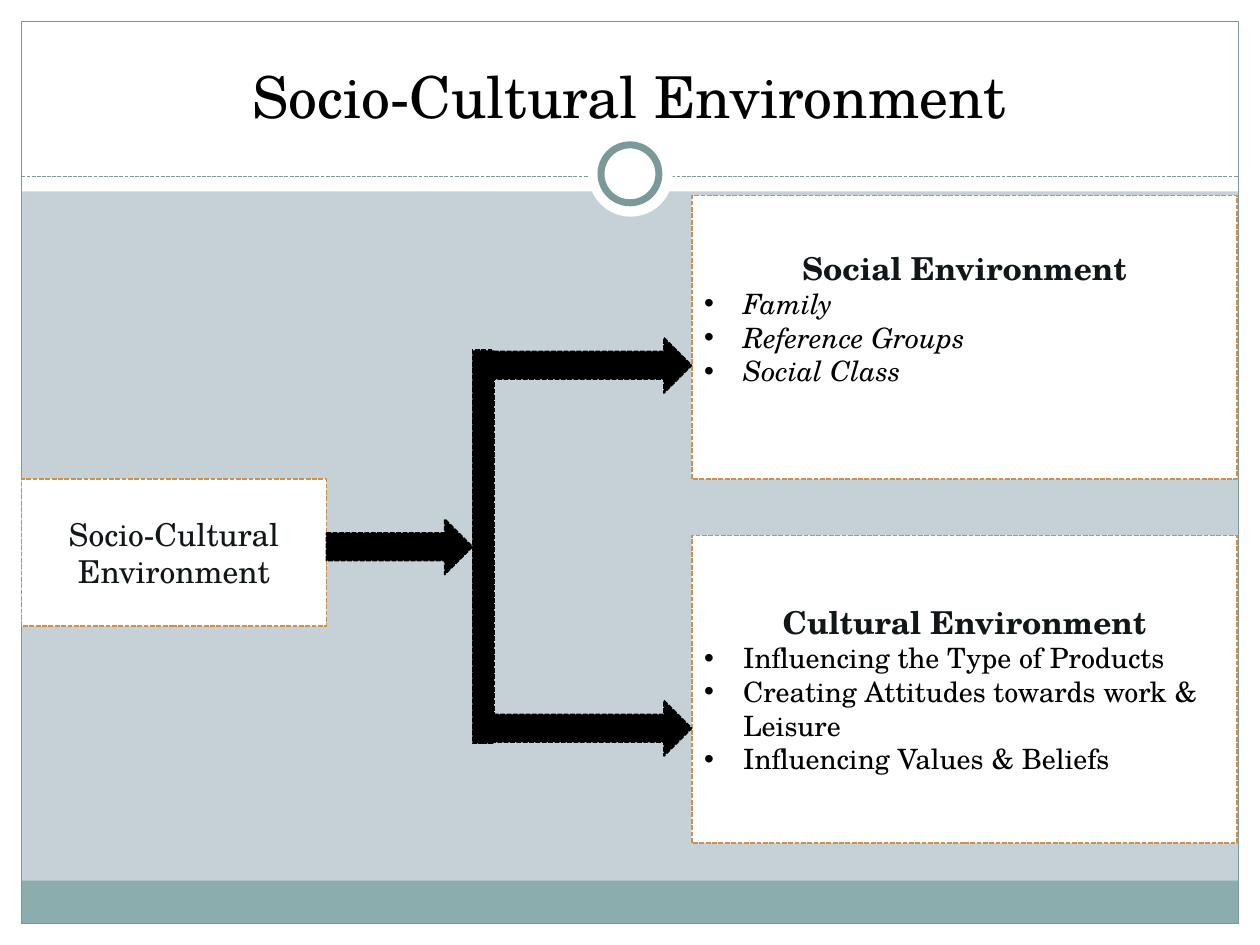
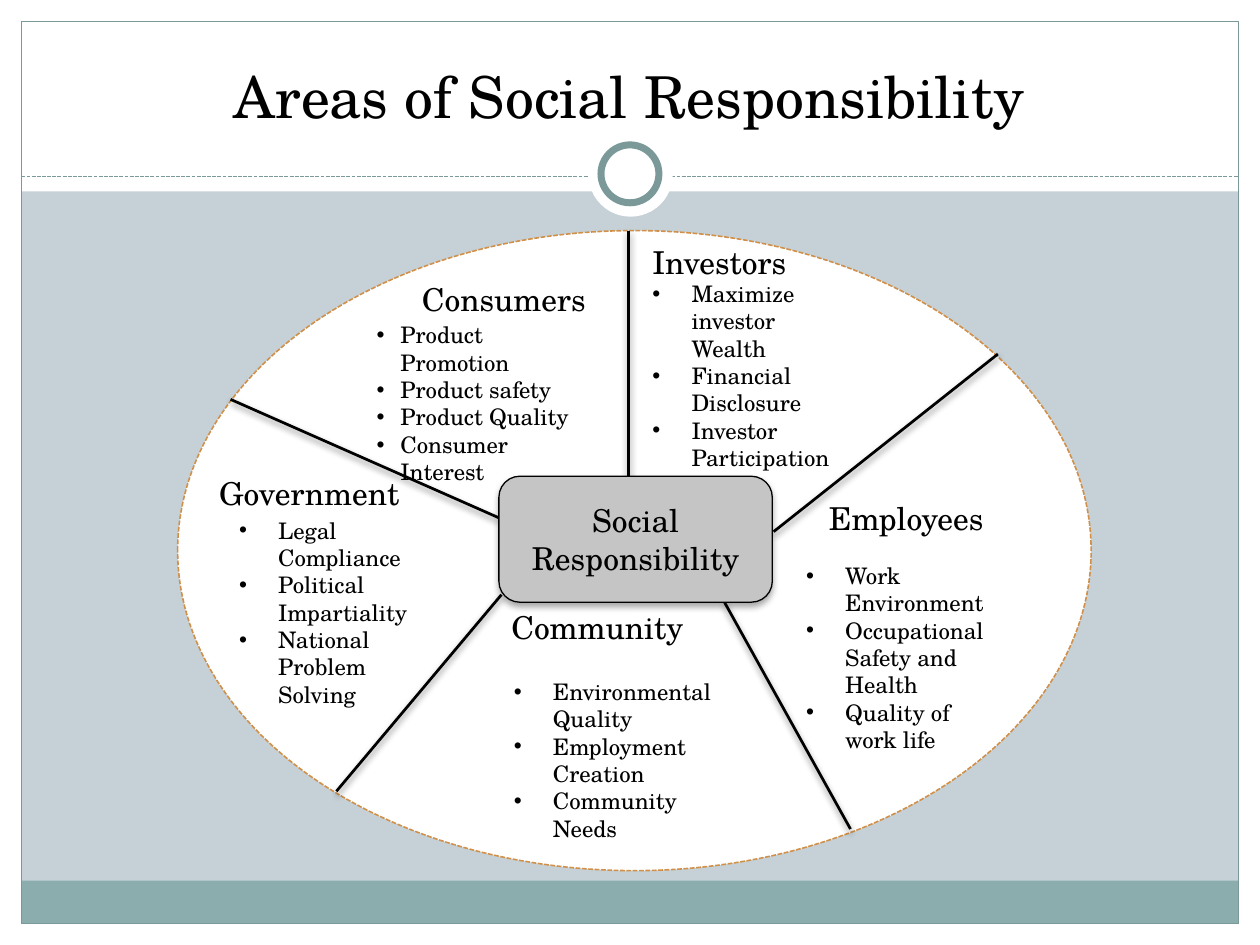
from dataclasses import dataclass
from lxml.etree import SubElement
from pptx import Presentation
from pptx.dml.color import RGBColor
from pptx.enum.dml import MSO_LINE
from pptx.enum.shapes import MSO_CONNECTOR, MSO_SHAPE
from pptx.enum.text import MSO_ANCHOR, PP_ALIGN
from pptx.oxml.ns import qn
from pptx.util import Inches, Pt


@dataclass(frozen=True)
class Theme:
    font: str = "TeX Gyre Schola"
    ground: str = "C5D1D7"
    paper: str = "FFFFFF"
    band: str = "8CADAE"
    frame: str = "7C999A"
    accent: str = "D19049"
    hub: str = "C5C5C5"
    ink: str = "000000"
    soft_ink: str = "111618"
    title_size: float = 33
    heading_size: float = 18
    item_size: float = 16
    small_size: float = 13
    hairline: float = 0.75
    dashed: float = 0.9
    spoke: float = 1.57
    ring: float = 4


@dataclass(frozen=True)
class Box:
    left: float
    top: float
    width: float
    height: float

    def inner(self, left, top, width, height):
        return Box(self.left + left, self.top + top, width, height)

    def point(self, x, y):
        return self.left + x, self.top + y

    def lengths(self):
        return [Inches(v) for v in (self.left, self.top, self.width, self.height)]


THEME = Theme()
PAGE = Box(0, 0, 10, 7.5)
BODY = Box(0.17, 1.52, 9.66, 5.47)
MARGIN = 0.17


def apply_format(target, values):
    for name, value in values.items():
        setattr(target, name, value)


def set_line(line, color, width, dashed=False):
    line.color.rgb = RGBColor.from_string(color)
    dash = MSO_LINE.SQUARE_DOT if dashed else MSO_LINE.SOLID
    apply_format(line, {"width": Pt(width), "dash_style": dash})


def set_shadow(shape, opacity=None):
    properties = shape._element.spPr
    for old in properties.findall(qn("a:effectLst")):
        properties.remove(old)
    effects = SubElement(properties, qn("a:effectLst"))
    if opacity:
        shadow = SubElement(effects, qn("a:outerShdw"), blurRad=str(Pt(4)), dist=str(Pt(2)),
                            dir="5400000", rotWithShape="0")
        color = SubElement(shadow, qn("a:srgbClr"), val=THEME.ink)
        SubElement(color, qn("a:alpha"), val=str(opacity * 1000))


def add_figure(slide, kind, box, fill=None, line=None, width=THEME.dashed, dashed=True):
    figure = slide.shapes.add_shape(kind, *box.lengths())
    figure.shadow.inherit = False
    if fill:
        figure.fill.solid()
        figure.fill.fore_color.rgb = RGBColor.from_string(fill)
    else:
        figure.fill.background()
    if line:
        set_line(figure.line, line, width, dashed)
    else:
        figure.line.fill.background()
    return figure


def add_stroke(slide, start, end, color, width, dashed=False, opacity=None):
    ends = [Inches(v) for v in (*start, *end)]
    stroke = slide.shapes.add_connector(MSO_CONNECTOR.STRAIGHT, *ends)
    set_line(stroke.line, color, width, dashed)
    set_shadow(stroke, opacity)


def add_paragraph(frame, text, size, color=THEME.ink, align=PP_ALIGN.LEFT, indent=0, **style):
    first = frame.paragraphs[0]
    paragraph = frame.add_paragraph() if first.runs else first
    paragraph.alignment = align
    run = paragraph.add_run()
    run.text = text
    apply_format(run.font, {"name": THEME.font, "size": Pt(size), **style})
    run.font.color.rgb = RGBColor.from_string(color)
    if indent:
        properties = paragraph._p.get_or_add_pPr()
        properties.set("marL", str(Inches(indent)))
        properties.set("indent", str(-Inches(indent)))
        SubElement(properties, qn("a:buFont"), typeface="Arial")
        SubElement(properties, qn("a:buChar"), char="•")


def add_text(slide, box, anchor=MSO_ANCHOR.TOP):
    frame = slide.shapes.add_textbox(*box.lengths()).text_frame
    apply_format(frame, {"word_wrap": True, "vertical_anchor": anchor})
    return frame


def start_slide(deck, title):
    slide = deck.slides.add_slide(deck.slide_layouts[6])
    slide.background.fill.solid()
    slide.background.fill.fore_color.rgb = RGBColor.from_string(THEME.ground)
    border = PAGE.inner(MARGIN, MARGIN, PAGE.width - 2 * MARGIN, PAGE.height - 2 * MARGIN)
    edges = [
        (0, PAGE.height - MARGIN, PAGE.width, MARGIN),
        (0, 0, PAGE.width, BODY.top),
        (0, 0, MARGIN, PAGE.height),
        (PAGE.width - MARGIN, 0, MARGIN, PAGE.height),
    ]
    for edge in edges:
        add_figure(slide, MSO_SHAPE.RECTANGLE, PAGE.inner(*edge), THEME.paper)
    footer = BODY.inner(0, BODY.height, BODY.width, 0.34)
    add_figure(slide, MSO_SHAPE.RECTANGLE, footer, THEME.band)
    add_figure(slide, MSO_SHAPE.RECTANGLE, border, None, THEME.frame, THEME.hairline, False)
    add_stroke(slide, (MARGIN, 1.4), (PAGE.width - MARGIN, 1.4), THEME.frame, THEME.hairline, True)
    add_figure(slide, MSO_SHAPE.OVAL, PAGE.inner(4.67, 1.05, 0.67, 0.67), THEME.paper)
    add_figure(slide, MSO_SHAPE.OVAL, PAGE.inner(4.77, 1.15, 0.46, 0.46),
               THEME.paper, THEME.frame, THEME.ring, False)
    heading = add_text(slide, PAGE.inner(0.33, 0.25, 9.33, 0.83), MSO_ANCHOR.BOTTOM)
    add_paragraph(heading, title, THEME.title_size, align=PP_ALIGN.CENTER)
    return slide


def add_card(slide, box, heading, items=(), bottom=0.05, italic=False):
    card = add_figure(slide, MSO_SHAPE.RECTANGLE, box, THEME.paper, THEME.accent)
    frame = card.text_frame
    apply_format(frame, {"word_wrap": True, "vertical_anchor": MSO_ANCHOR.MIDDLE,
                         "margin_bottom": Inches(bottom)})
    add_paragraph(frame, heading, THEME.heading_size, THEME.soft_ink, PP_ALIGN.CENTER,
                  bold=bool(items))
    for item in items:
        add_paragraph(frame, item, THEME.item_size, indent=0.31, italic=italic)


def add_branching(slide, box):
    source = box.inner(0, 2.28, 2.42, 1.17)
    stem = box.inner(3.58, 1.26, 0.17, 3.12)
    card_left = 5.32
    add_card(slide, box.inner(card_left, 2.73, 4.33, 2.44), "Cultural Environment",
             ["Influencing the Type of Products", "Creating Attitudes towards work & Leisure",
              "Influencing Values & Beliefs"])
    add_figure(slide, MSO_SHAPE.RECTANGLE, stem, THEME.ink, THEME.ink)
    add_card(slide, source, "Socio-Cultural Environment")
    add_card(slide, box.inner(card_left, 0.03, 4.33, 2.25), "Social Environment",
             ["Family", "Reference Groups", "Social Class"], bottom=0.35, italic=True)
    for left, top, right in [(2.42, 2.6, 3.58), (3.75, 1.16, card_left), (3.75, 4.04, card_left)]:
        add_figure(slide, MSO_SHAPE.RIGHT_ARROW, box.inner(left, top, right - left, 0.44),
                   THEME.ink, THEME.ink)


def add_sector(slide, box, heading, heading_place, items, items_place, indent=0.31):
    caption = add_text(slide, box.inner(*heading_place, 0.4))
    add_paragraph(caption, heading, THEME.heading_size)
    points = add_text(slide, box.inner(*items_place))
    for item in items:
        add_paragraph(points, item, THEME.small_size, indent=indent)


def add_wheel(slide, box):
    add_figure(slide, MSO_SHAPE.FLOWCHART_CONNECTOR, box, THEME.paper, THEME.accent)
    spokes = [
        ((3.58, 0), (3.58, 1.95)),
        ((6.51, 0.98), (4.73, 2.39)),
        ((5.34, 4.75), (4.34, 2.95)),
        ((1.26, 4.45), (2.57, 2.89)),
        ((0.42, 1.34), (2.55, 2.28)),
    ]
    for rim, center in spokes:
        add_stroke(slide, box.point(*rim), box.point(*center), THEME.ink, THEME.spoke, opacity=45)
    hub = add_figure(slide, MSO_SHAPE.ROUNDED_RECTANGLE, box.inner(2.55, 1.95, 2.17, 1),
                     THEME.hub, THEME.ink, THEME.hairline, False)
    set_shadow(hub, 35)
    apply_format(hub.text_frame, {"word_wrap": True, "vertical_anchor": MSO_ANCHOR.MIDDLE})
    add_paragraph(hub.text_frame, "Social Responsibility", THEME.heading_size,
                  align=PP_ALIGN.CENTER)
    add_sector(slide, box, "Consumers", (1.84, 0.34, 1.58),
               ["Product Promotion", "Product safety", "Product Quality", "Consumer Interest"],
               (1.48, 0.67, 1.9, 1.19), 0.19)
    add_sector(slide, box, "Investors", (3.67, 0.05, 1.33),
               ["Maximize investor Wealth", "Financial Disclosure", "Investor Participation"],
               (3.67, 0.34, 1.71, 1.63))
    add_sector(slide, box, "Employees", (5.07, 2.08, 1.53),
               ["Work Environment", "Occupational Safety and Health", "Quality of work life"],
               (4.89, 2.58, 1.71, 1.63))
    add_sector(slide, box, "Community", (2.55, 2.95, 2),
               ["Environmental Quality", "Employment Creation", "Community Needs"],
               (2.57, 3.5, 1.77, 1.41))
    add_sector(slide, box, "Government", (0.23, 1.88, 2.12),
               ["Legal Compliance", "Political Impartiality", "National Problem Solving"],
               (0.39, 2.22, 1.68, 1.63))


deck = Presentation()
apply_format(deck, {"slide_width": Inches(PAGE.width), "slide_height": Inches(PAGE.height)})
add_branching(start_slide(deck, "Socio-Cultural Environment"), BODY)
add_wheel(start_slide(deck, "Areas of Social Responsibility"), BODY.inner(1.24, 0.31, 7.25, 5.08))
deck.save("out.pptx")
